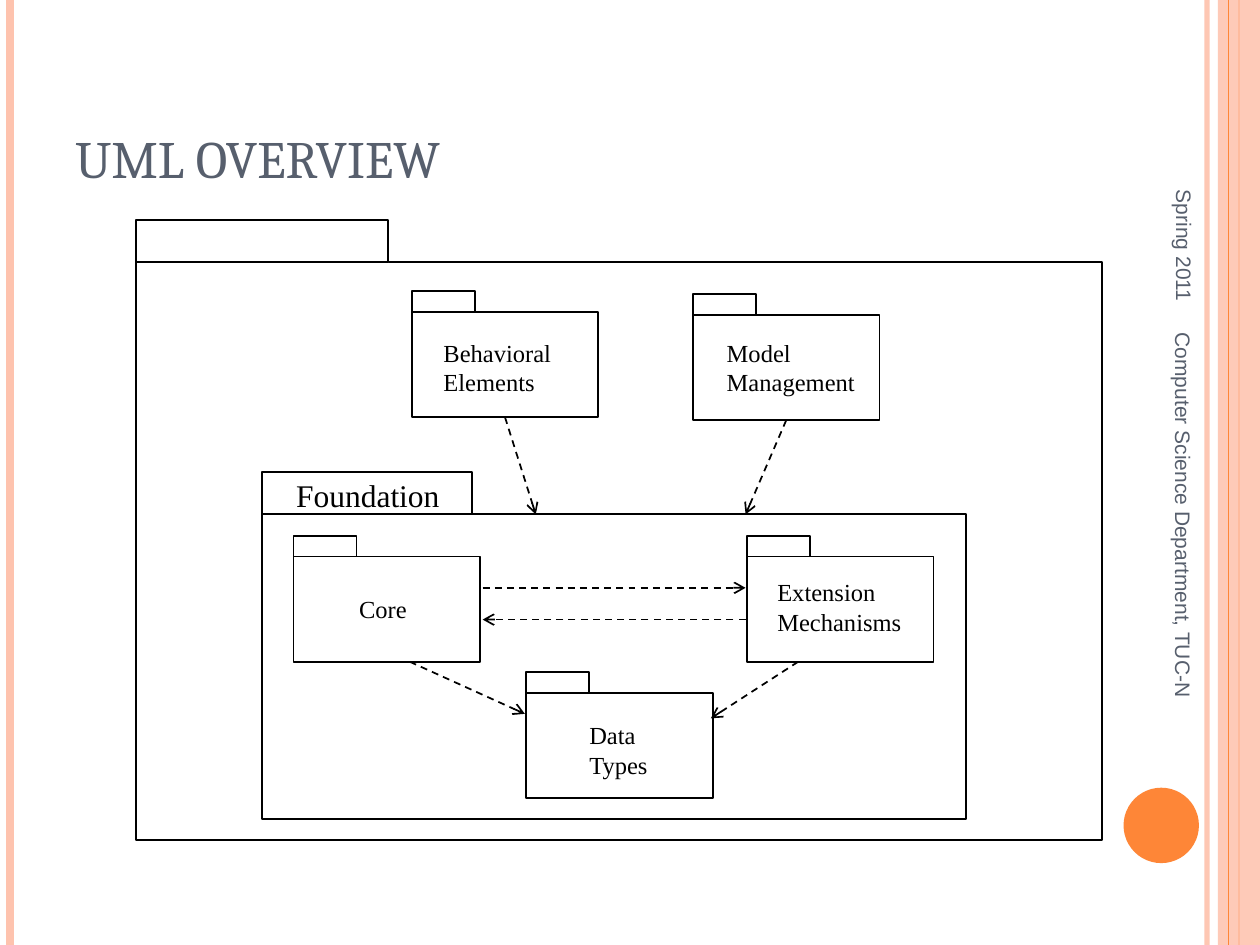
from pptx import Presentation
from pptx.dml.color import RGBColor
from pptx.enum.dml import MSO_LINE
from pptx.enum.shapes import MSO_CONNECTOR, MSO_SHAPE
from pptx.enum.text import MSO_ANCHOR, MSO_AUTO_SIZE, PP_ALIGN
from pptx.oxml.ns import qn
from pptx.util import Cm, Pt
from lxml import etree

STRAIGHT = MSO_CONNECTOR.STRAIGHT
RECTANGLE, OVAL = MSO_SHAPE.RECTANGLE, MSO_SHAPE.OVAL
DASH = MSO_LINE.DASH
TOP, MIDDLE, BOTTOM = MSO_ANCHOR.TOP, MSO_ANCHOR.MIDDLE, MSO_ANCHOR.BOTTOM
LEFT, RIGHT = PP_ALIGN.LEFT, PP_ALIGN.RIGHT
FIT = MSO_AUTO_SIZE.SHAPE_TO_FIT_TEXT
BOTTOM_SITE = 2

COLORS = {"pink": "FEC3AE", "orange": "FE8637", "slate": "575F6D",
          "black": "000000", "white": "FFFFFF"}
WIDTH, HEIGHT = 25.4, 19.05

LEFT_STRIPES = [(24.33, "pink", 3, 93), (0.21, "pink", 4.5, None),
                (24.98, "orange", 1.5, None)]
RIGHT_STRIPE = (24.77, "orange", 0.75, None)
BAND = (24.55, 0, 0.85, HEIGHT)
DISC = (22.65, 15.88, 1.52, 1.52)

TITLE = ("UML OVERVIEW", (1.27, 0.76, 20.75, 3.18))
SIDE_NOTES = [
    ("Spring 2011", (21.08, 3, 5.59, 1.07), RIGHT),
    ("Computer Science Department, TUC-N", (19.41, 10.39, 8.89, 1.02), LEFT),
]

SMALL_BODY, SMALL_TAB = (3.76, 2.12), (1.27, 0.42)
PACKAGES = {
    "uml": ((2.75, 5.29), (19.47, 11.64), (5.08, 0.85), "white"),
    "foundation": ((5.29, 10.37), (14.18, 6.14), (4.23, 0.85), None),
    "model": ((13.97, 6.35), SMALL_BODY, SMALL_TAB, None),
    "behavioral": ((8.3, 6.29), SMALL_BODY, SMALL_TAB, None),
    "core": ((5.92, 11.22), SMALL_BODY, SMALL_TAB, None),
    "extension": ((15.06, 11.22), SMALL_BODY, SMALL_TAB, None),
    "data": ((10.61, 13.97), SMALL_BODY, SMALL_TAB, None),
}
LABELS = [
    ("Foundation", (5.72, 9.47, 3.4, 1.02), 18, False),
    ("Model\vManagement", (14.4, 6.68, 3.1, 1.45), 14, False),
    ("Behavioral\nElements", (8.69, 6.68, 2.79, 1.45), 14, False),
    ("Core", (6.99, 11.86, 1.47, 0.86), 14, False),
    ("Extension\nMechanisms", (15.42, 11.51, 3.2, 1.45), 14, False),
    ("Data Types", (11.63, 14.4, 2.13, 1.45), 14, True),
]
JOINED_ARROWS = [("behavioral", (10.8, 10.37)), ("model", (15.03, 10.37))]
FREE_ARROWS = [
    ((9.73, 11.85), (15.03, 11.85)),
    ((15.03, 12.49), (9.73, 12.49)),
    ((8.26, 13.34), (10.58, 14.39)),
    ((16.09, 13.34), (14.33, 14.48)),
]


def color(name):
    return RGBColor.from_string(COLORS[name])


def set_opacity(shape, percent):
    value = shape.element.spPr.find(".//" + qn("a:srgbClr"))
    etree.SubElement(value, qn("a:alpha"), val=str(percent * 1000))


def add_box(slide, kind, box, fill=None, outline=None):
    shape = slide.shapes.add_shape(kind, *map(Cm, box))
    shape.shadow.inherit = False
    if fill:
        shape.fill.solid()
        shape.fill.fore_color.rgb = color(fill)
    else:
        shape.fill.background()
    if outline:
        shape.line.color.rgb = color(outline)
        shape.line.width = Pt(1)
    else:
        shape.line.fill.background()
    return shape


def add_line(slide, start, end, line_color, width):
    line = slide.shapes.add_connector(STRAIGHT, *map(Cm, start + end))
    line.line.color.rgb = color(line_color)
    line.line.width = Pt(width)
    etree.SubElement(line.element.spPr, qn("a:effectLst"))
    return line


def add_stripe(slide, x, stripe_color, width, opacity):
    stripe = add_line(slide, (x, 0), (x, HEIGHT), stripe_color, width)
    if opacity:
        set_opacity(stripe, opacity)


def add_arrow(slide, start, end):
    arrow = add_line(slide, start, end, "black", 1)
    arrow.line.dash_style = DASH
    outline = arrow.element.spPr.find(qn("a:ln"))
    etree.SubElement(outline, qn("a:tailEnd"), type="arrow")
    return arrow


def add_text(slide, text, box, size, font, text_color, anchor=TOP, align=LEFT, wrap=True):
    shape = slide.shapes.add_textbox(*map(Cm, box))
    frame = shape.text_frame
    frame.word_wrap = wrap
    frame.vertical_anchor = anchor
    frame.text = text
    for paragraph in frame.paragraphs:
        paragraph.alignment = align
        paragraph.font.size = Pt(size)
        paragraph.font.name = font
        paragraph.font.color.rgb = color(text_color)
    return shape


def add_package(slide, corner, body_size, tab_size, fill):
    left, top = corner
    body = add_box(slide, RECTANGLE, corner + body_size, fill, "black")
    add_box(slide, RECTANGLE, (left, top - tab_size[1]) + tab_size, fill, "black")
    return body


def main():
    presentation = Presentation()
    presentation.slide_width, presentation.slide_height = Cm(WIDTH), Cm(HEIGHT)
    slide = presentation.slides.add_slide(presentation.slide_layouts[6])

    for stripe in LEFT_STRIPES:
        add_stripe(slide, *stripe)
    set_opacity(add_box(slide, RECTANGLE, BAND, "pink"), 87)
    add_stripe(slide, *RIGHT_STRIPE)
    add_box(slide, OVAL, DISC, "orange")

    add_text(slide, *TITLE, 30, "Cambria", "slate", BOTTOM)
    for text, box, align in SIDE_NOTES:
        note = add_text(slide, text, box, 12, "Arial", "slate", MIDDLE, align)
        note.rotation = 90

    bodies = {name: add_package(slide, *parts) for name, parts in PACKAGES.items()}
    for text, box, size, wrap in LABELS:
        label = add_text(slide, text, box, size, "Times New Roman", "black", wrap=wrap)
        label.text_frame.auto_size = FIT

    for name, end in JOINED_ARROWS:
        arrow = add_arrow(slide, PACKAGES[name][0], end)
        arrow.begin_connect(bodies[name], BOTTOM_SITE)
    for start, end in FREE_ARROWS:
        add_arrow(slide, start, end)

    presentation.save("out.pptx")


if __name__ == "__main__":
    main()
